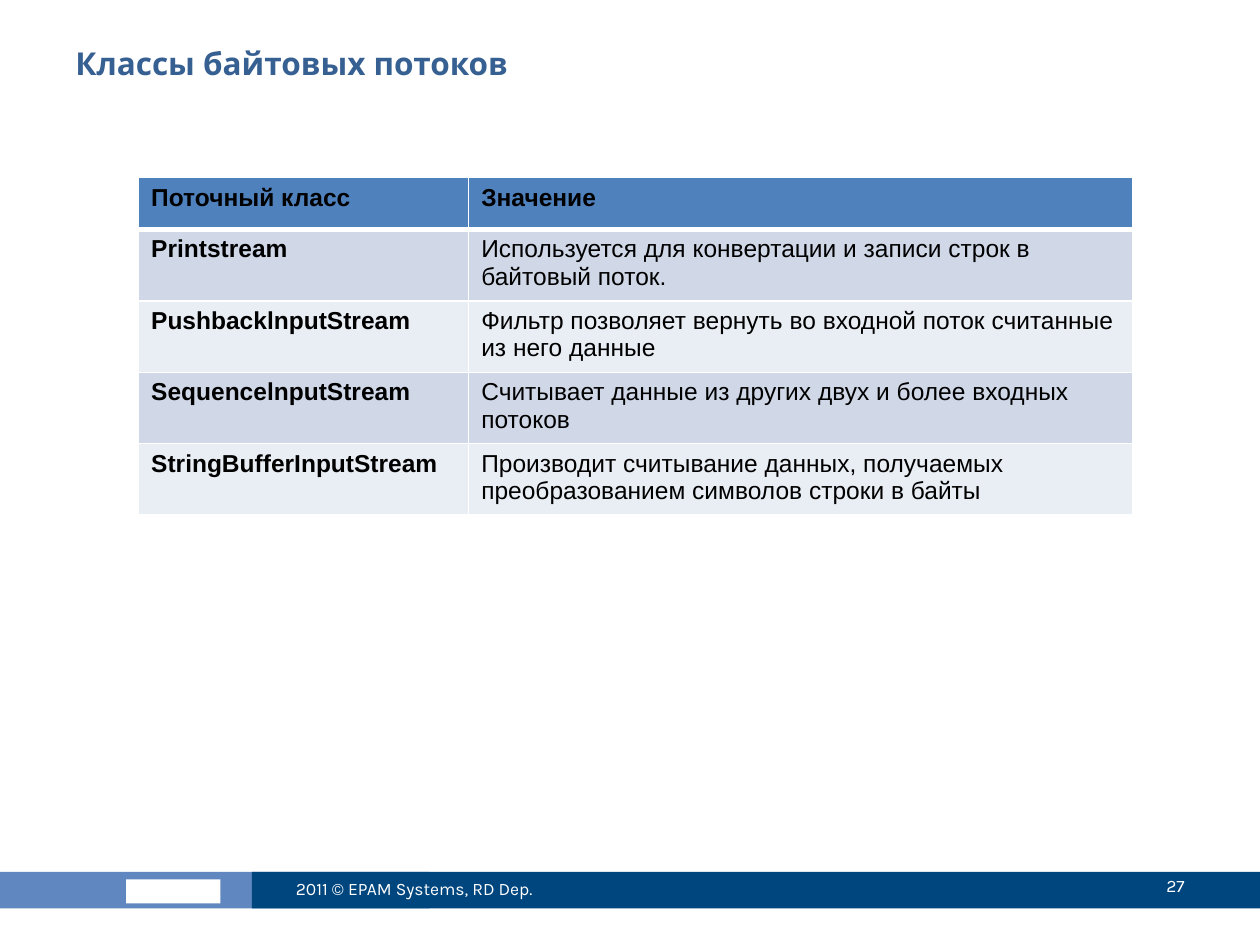
from lxml import etree
from pptx import Presentation
from pptx.dml.color import RGBColor
from pptx.enum.shapes import MSO_SHAPE as Shape
from pptx.enum.text import MSO_ANCHOR as Anchor, PP_ALIGN as Align
from pptx.oxml.ns import qn
from pptx.util import Inches, Pt

WHITE = "FFFFFF"


def color(value):
    return RGBColor.from_string(value)


def write(frame, text, size=10, font="Karla", fill=WHITE, bold=False,
          align=Align.LEFT, anchor=Anchor.MIDDLE):
    frame.word_wrap = True
    frame.vertical_anchor = anchor
    paragraph = frame.paragraphs[0]
    paragraph.alignment = align
    run = paragraph.add_run()
    run.text = text
    run.font.size = Pt(size)
    run.font.name = font
    run.font.bold = bold
    run.font.color.rgb = color(fill)


presentation = Presentation()
presentation.slide_width = Inches(10)
presentation.slide_height = Inches(7.5)
slide = presentation.slides.add_slide(presentation.slide_layouts[6])

# Footer bands, with a plain block in the logo's place
for left, top, width, height, fill in [
    (-0.02, 6.92, 3.43, 0.29, "6087BF"),
    (1, 6.98, 0.75, 0.19, WHITE),
    (2, 6.92, 8, 0.29, "00467E"),
]:
    shape = slide.shapes.add_shape(
        Shape.RECTANGLE, Inches(left), Inches(top), Inches(width), Inches(height))
    shape.shadow.inherit = False
    shape.fill.solid()
    shape.fill.fore_color.rgb = color(fill)
    shape.line.fill.background()

# Title, copyright line and slide number
for left, top, width, height, text, style in [
    (0.5, 0.3, 9, 0.78, "Классы байтовых потоков",
     dict(size=18, fill="376092", bold=True, anchor=Anchor.TOP)),
    (2.25, 6.85, 2.67, 0.4, "2011 © EPAM Systems, RD Dep.", {}),
    (8.42, 6.83, 1.08, 0.4, "27", dict(align=Align.RIGHT)),
]:
    box = slide.shapes.add_textbox(
        Inches(left), Inches(top), Inches(width), Inches(height))
    write(box.text_frame, text, **style)

# Table of stream classes
rows = [
    ("Поточный класс", "Значение"),
    ("Printstream",
     "Используется для конвертации и записи строк в байтовый поток."),
    ("PushbacklnputStream",
     "Фильтр позволяет вернуть во входной поток считанные из него данные"),
    ("SequencelnputStream",
     "Считывает данные из других двух и более входных потоков"),
    ("StringBufferInputStream",
     "Производит считывание данных, получаемых преобразованием символов строки в байты"),
]
table = slide.shapes.add_table(
    len(rows), 2, Inches(1.1), Inches(1.41), Inches(7.89), Inches(2.53)).table
for column, width in zip(table.columns, (2.62, 5.27)):
    column.width = Inches(width)

for row_index, texts in enumerate(rows):
    is_header = row_index == 0
    table.rows[row_index].height = Inches(0.41 if is_header else 0.53)
    row_fill = "4F81BD" if is_header else ("E9EDF4", "D0D8E8")[row_index % 2]
    for column_index, text in enumerate(texts):
        cell = table.cell(row_index, column_index)
        properties = cell._tc.get_or_add_tcPr()
        for side in ("lnL", "lnR", "lnT", "lnB"):
            under_header = (row_index, side) in [(0, "lnB"), (1, "lnT")]
            border = etree.SubElement(
                properties, qn(f"a:{side}"), w=str(Pt(3 if under_header else 1)))
            solid = etree.SubElement(border, qn("a:solidFill"))
            etree.SubElement(solid, qn("a:srgbClr"), val=WHITE)
        cell.fill.solid()
        cell.fill.fore_color.rgb = color(row_fill)
        write(cell.text_frame, text, size=14, font="Arial", fill="000000",
              bold=is_header or column_index == 0)
        cell.vertical_anchor = Anchor.TOP

presentation.save("out.pptx")
